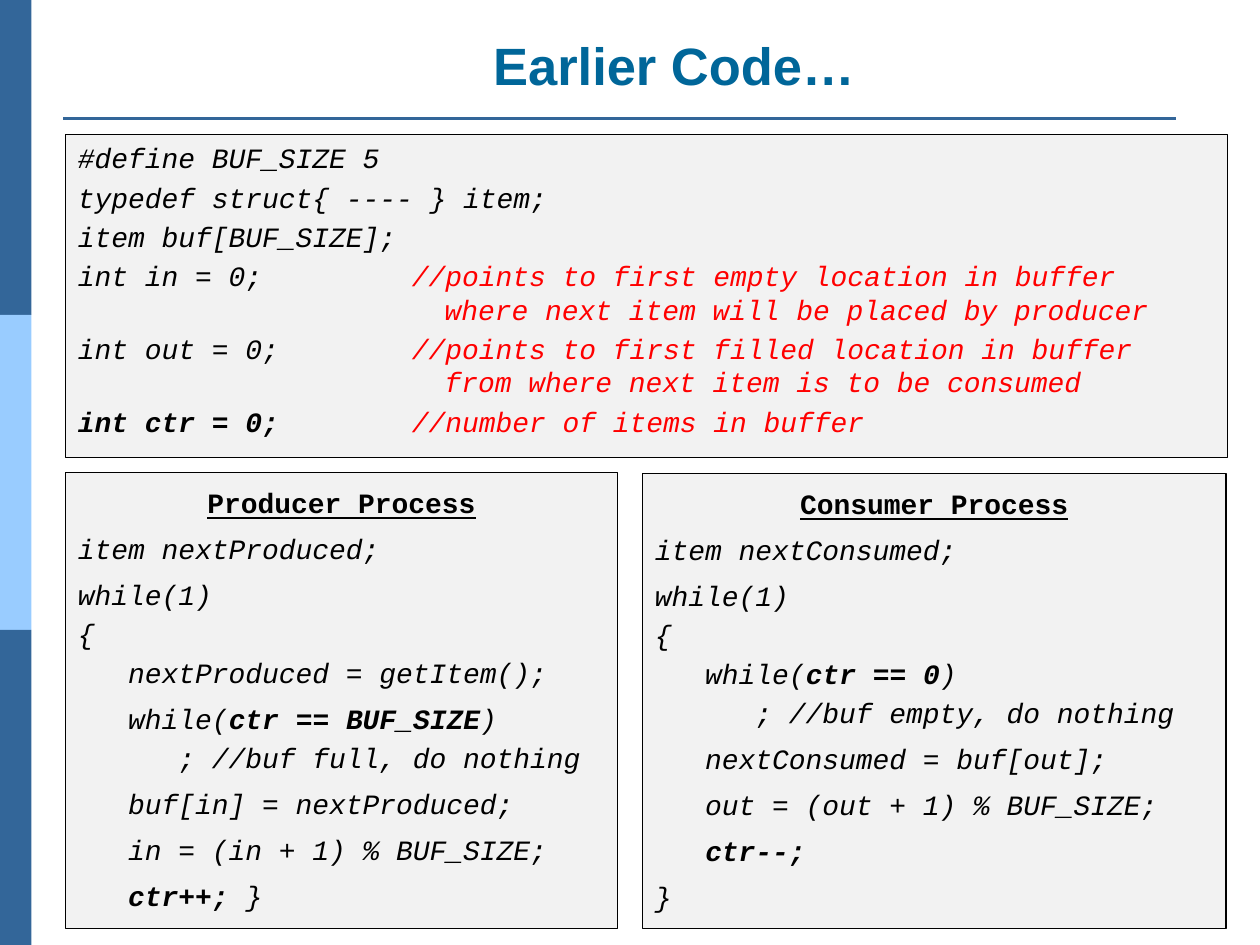
from dataclasses import dataclass

from lxml.etree import SubElement
from pptx import Presentation
from pptx.dml.color import RGBColor
from pptx.enum.shapes import MSO_CONNECTOR, MSO_SHAPE
from pptx.enum.text import MSO_ANCHOR, PP_ALIGN
from pptx.oxml.ns import qn
from pptx.util import Inches, Pt

COLUMNS, ROWS = 40, 30


@dataclass(frozen=True)
class Theme:
    blue: str = "336699"
    light_blue: str = "99CCFF"
    title: str = "006699"
    panel: str = "F2F2F2"
    ink: str = "000000"
    comment: str = "FF0000"
    title_font: str = "Arial"
    code_font: str = "Courier New"
    title_size: float = 30
    code_size: float = 16
    code_gap: float = 3.2
    loose: float = 1.2
    rule_width: float = 1.5
    border_width: float = 0.75


@dataclass(frozen=True)
class Box:
    column: float
    row: float
    columns: float
    rows: float

    def place(self):
        return (across(self.column), down(self.row),
                across(self.columns), down(self.rows))


@dataclass(frozen=True)
class Line:
    code: str
    comment: str = ""
    spacing: float = 1.0


THEME = Theme()
COMMENT_STOPS = (10.6, 11.64)

DEFINITIONS = [
    Line("#define BUF_SIZE 5"),
    Line("typedef struct{ ---- } item;"),
    Line("item buf[BUF_SIZE];"),
    Line("int in = 0;", "//points to first empty location in buffer\n"
         "\t\twhere next item will be placed by producer"),
    Line("int out = 0;", "//points to first filled location in buffer\n"
         "\t\tfrom where next item is to be consumed"),
    Line("*int ctr = 0;*", "//number of items in buffer"),
]


def loose(code):
    return Line(code, spacing=THEME.loose)


PRODUCER = [
    loose("item nextProduced;"),
    loose("while(1)"),
    Line("{"),
    Line("   nextProduced = getItem();"),
    loose("   while(*ctr == BUF_SIZE*)"),
    Line("      ; //buf full, do nothing"),
    loose("   buf[in] = nextProduced;"),
    loose("   in = (in + 1) % BUF_SIZE;"),
    loose("   *ctr++; *}"),
]

CONSUMER = [
    loose("item nextConsumed;"),
    loose("while(1)"),
    Line("{"),
    Line("   while(*ctr == 0*)"),
    Line("      ; //buf empty, do nothing"),
    loose("   nextConsumed = buf[out];"),
    loose("   out = (out + 1) % BUF_SIZE;"),
    loose("   *ctr--;*"),
    loose("}"),
]


def across(columns):
    return Inches(10 * columns / COLUMNS)


def down(rows):
    return Inches(7.5 * rows / ROWS)


def style_run(run, font, size, color, bold=False, italic=False, underline=False):
    run.font.name = font
    run.font.size = Pt(size)
    run.font.color.rgb = RGBColor.from_string(color)
    run.font.bold = bold
    run.font.italic = italic
    run.font.underline = underline


def add_rectangle(slide, box, fill):
    shape = slide.shapes.add_shape(MSO_SHAPE.RECTANGLE, *box.place())
    shape.shadow.inherit = False
    shape.fill.solid()
    shape.fill.fore_color.rgb = RGBColor.from_string(fill)
    shape.line.fill.background()
    return shape


def add_sidebar(slide, box):
    colors = (THEME.blue, THEME.light_blue, THEME.blue)
    band = box.rows / len(colors)
    for index, color in enumerate(colors):
        add_rectangle(slide, Box(box.column, box.row + index * band,
                                 box.columns, band), color)


def add_rule(slide, box):
    left, top, width, height = box.place()
    rule = slide.shapes.add_connector(
        MSO_CONNECTOR.STRAIGHT, left, top, left + width, top + height)
    rule.line.color.rgb = RGBColor.from_string(THEME.blue)
    rule.line.width = Pt(THEME.rule_width)
    SubElement(rule._element.spPr, qn("a:effectLst"))


def add_title(slide, box, text):
    frame = slide.shapes.add_textbox(*box.place()).text_frame
    frame.word_wrap = True
    frame.vertical_anchor = MSO_ANCHOR.BOTTOM
    frame.text = text
    paragraph = frame.paragraphs[0]
    paragraph.alignment = PP_ALIGN.CENTER
    style_run(paragraph.runs[0], THEME.title_font, THEME.title_size,
              THEME.title, bold=True)


def add_comment(paragraph, comment):
    properties = paragraph._p.get_or_add_pPr()
    stops = SubElement(properties, qn("a:tabLst"))
    for stop in COMMENT_STOPS:
        SubElement(stops, qn("a:tab"), pos=str(across(stop)), algn="l")
    for index, text in enumerate(comment.split("\n")):
        if index:
            paragraph.add_line_break()
            SubElement(paragraph._p[-1], qn("a:rPr"),
                       sz=str(int(THEME.code_size * 100)))
        run = paragraph.add_run()
        run.text = text if index else "\t" + text
        style_run(run, THEME.code_font, THEME.code_size, THEME.comment, italic=True)


def add_code_panel(slide, box, lines, heading=None):
    panel = add_rectangle(slide, box, THEME.panel)
    panel.line.color.rgb = RGBColor.from_string(THEME.ink)
    panel.line.width = Pt(THEME.border_width)
    frame = panel.text_frame
    frame.word_wrap = True
    frame.vertical_anchor = MSO_ANCHOR.TOP
    content = [loose(f"*{heading}*"), *lines] if heading else lines
    for index, line in enumerate(content):
        is_heading = bool(heading) and index == 0
        paragraph = frame.add_paragraph() if index else frame.paragraphs[0]
        paragraph.alignment = PP_ALIGN.CENTER if is_heading else PP_ALIGN.LEFT
        paragraph.line_spacing = line.spacing
        paragraph.space_before = Pt(THEME.code_gap if index else 0)
        for part, text in enumerate(line.code.split("*")):
            if text:
                run = paragraph.add_run()
                run.text = text
                style_run(run, THEME.code_font, THEME.code_size, THEME.ink,
                          part % 2 == 1, not is_heading, is_heading)
        if line.comment:
            add_comment(paragraph, line.comment)


def main():
    presentation = Presentation()
    presentation.slide_width = across(COLUMNS)
    presentation.slide_height = down(ROWS)
    slide = presentation.slides.add_slide(presentation.slide_layouts[6])
    add_sidebar(slide, Box(0, 0, 1, ROWS))
    add_rule(slide, Box(2, 3.76, 35.32, 0))
    add_code_panel(slide, Box(2.08, 4.28, 36.88, 10.24), DEFINITIONS)
    add_code_panel(slide, Box(2.08, 15, 17.52, 14.48), PRODUCER, "Producer Process")
    add_code_panel(slide, Box(20.4, 15.04, 18.52, 14.44), CONSUMER, "Consumer Process")
    add_title(slide, Box(5.72, 0.92, 31.36, 2.32), "Earlier Code…")
    presentation.save("out.pptx")


if __name__ == "__main__":
    main()
